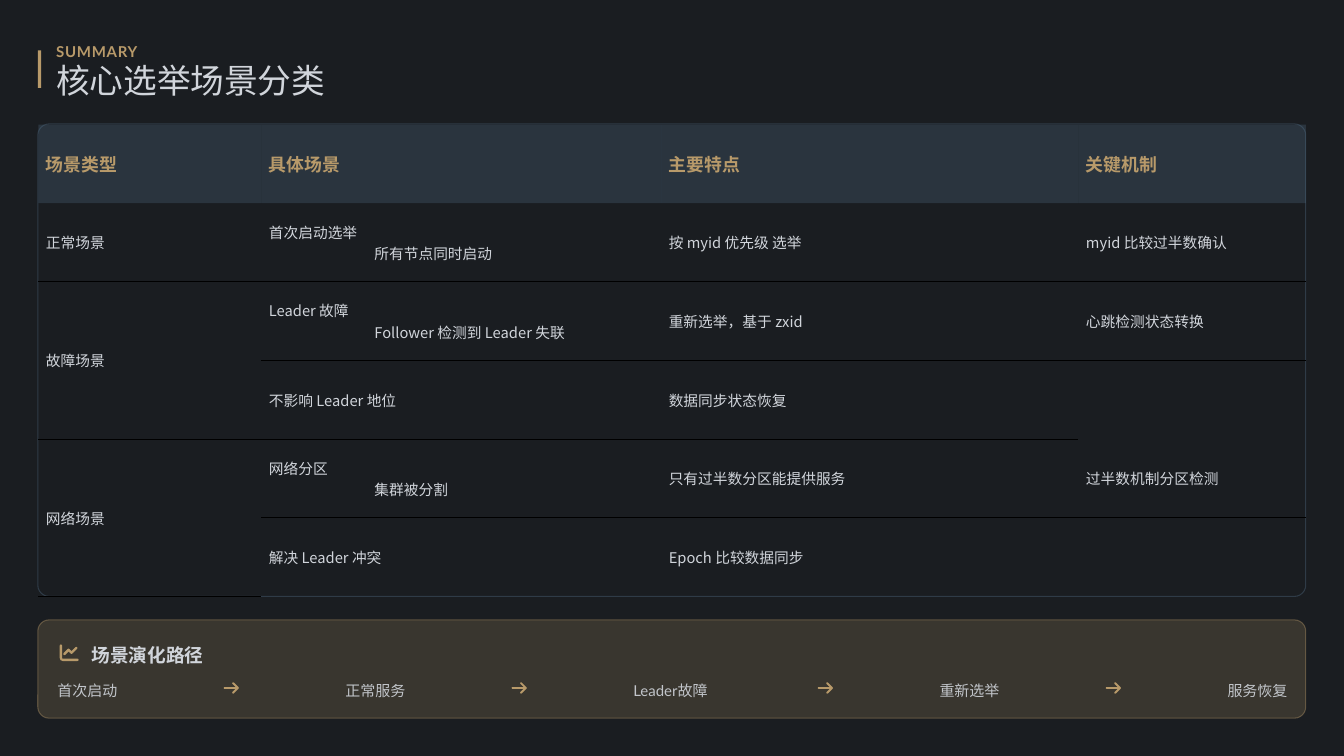
from dataclasses import dataclass

import lxml.etree
import pptx
import pptx.dml.color
import pptx.enum.shapes
import pptx.enum.text
import pptx.oxml.ns
import pptx.util

Pt = pptx.util.Pt
qn = pptx.oxml.ns.qn
RGBColor = pptx.dml.color.RGBColor
MSO_SHAPE = pptx.enum.shapes.MSO_SHAPE


@dataclass(frozen=True)
class Theme:
    ground: RGBColor = RGBColor.from_string("1A1D21")
    gold: RGBColor = RGBColor.from_string("B89A6A")
    slate: RGBColor = RGBColor.from_string("4F6A82")
    ink: RGBColor = RGBColor.from_string("D1D5DB")
    rule: str = "000000"
    latin: str = "Lato"
    chinese: str = "Noto Sans CJK SC"
    title: float = 32.1
    heading: float = 17.8
    header: float = 17
    label: float = 14.3
    cell: float = 14


theme = Theme()


def fade(element, percent):
    color = next(element.iter(qn("a:srgbClr")))
    lxml.etree.SubElement(color, qn("a:alpha")).set("val", str(percent * 1000))


def write(frame, text, size, color=theme.ink, font=theme.latin, bold=False,
          spacing=None, tracking=None, opacity=100, indent=0):
    frame.word_wrap = True
    frame.vertical_anchor = pptx.enum.text.MSO_ANCHOR.MIDDLE
    for index, line in enumerate(text.split("\n")):
        para = frame.add_paragraph() if index else frame.paragraphs[0]
        if index and indent:
            para._p.get_or_add_pPr().set("marL", str(Pt(indent)))
        if spacing:
            para.line_spacing = spacing
        span = para.add_run()
        span.text = line
        span.font.size = Pt(size)
        span.font.bold = bold
        span.font.name = font
        span.font.color.rgb = color
        properties = span._r.get_or_add_rPr()
        lxml.etree.SubElement(properties, qn("a:ea")).set("typeface", theme.chinese)
        if tracking:
            properties.set("spc", str(int(tracking * 100)))
        if opacity < 100:
            fade(properties, opacity)


deck = pptx.Presentation()
deck.slide_width, deck.slide_height = Pt(1280.16), Pt(720)
page = deck.slides.add_slide(deck.slide_layouts[6])
page.background.fill.solid()
page.background.fill.fore_color.rgb = theme.ground
shapes = page.shapes

accent = shapes.add_shape(MSO_SHAPE.RECTANGLE, Pt(36), Pt(48), Pt(3.2), Pt(35.7))
accent.shadow.inherit = False
accent.fill.solid()
accent.fill.fore_color.rgb = theme.gold
accent.line.fill.background()

corner = 10.8
left, panel_width = 36, 1207.7
for top, height, color, filled in ((118, 450, theme.slate, False),
                                   (590.4, 93.6, theme.gold, True)):
    panel = shapes.add_shape(MSO_SHAPE.ROUNDED_RECTANGLE,
                             Pt(left), Pt(top), Pt(panel_width), Pt(height))
    panel.shadow.inherit = False
    panel.adjustments[0] = corner / height
    if filled:
        panel.fill.solid()
        panel.fill.fore_color.rgb = color
        fade(panel._element.spPr, 20)
    else:
        panel.fill.background()
    panel.line.color.rgb = color
    panel.line.width = Pt(1)
    fade(panel.line._get_or_add_ln(), 40)

scenarios = (
    ("场景类型", "具体场景", "主要特点", "关键机制"),
    ("正常场景", "首次启动选举\n所有节点同时启动", "按 myid 优先级 选举", "myid 比较过半数确认"),
    ("故障场景", "Leader 故障\nFollower 检测到 Leader 失联", "重新选举，基于 zxid", "心跳检测状态转换"),
    ("", "不影响 Leader 地位", "数据同步状态恢复", ""),
    ("网络场景", "网络分区\n集群被分割", "只有过半数分区能提供服务", "过半数机制分区检测"),
    ("", "解决 Leader 冲突", "Epoch 比较数据同步", ""),
)
column_widths = (212.4, 380.9, 397.4, 216.7)
row_height = 74.9
ruled_columns = ((), (0, 1, 2, 3), (0, 1, 2, 3), (0, 1, 2), (0, 1, 2, 3), (0,))
table = shapes.add_table(len(scenarios), len(column_widths), Pt(36.5), Pt(118.6),
                         Pt(sum(column_widths)), Pt(row_height * len(scenarios))).table
table.first_row = False
table.horz_banding = False
for column, width in zip(table.columns, column_widths):
    column.width = Pt(width)
for row_index, (row, texts) in enumerate(zip(table.rows, scenarios)):
    row.height = Pt(row_height)
    for column_index, text in enumerate(texts):
        cell = table.cell(row_index, column_index)
        properties = cell._tc.get_or_add_tcPr()
        ruled = {
            "a:lnL": False,
            "a:lnR": False,
            "a:lnT": row_index > 0 and column_index in ruled_columns[row_index - 1],
            "a:lnB": column_index in ruled_columns[row_index],
        }
        for edge, drawn in ruled.items():
            line = lxml.etree.SubElement(properties, qn(edge))
            line.set("w", str(Pt(1)))
            if drawn:
                paint = lxml.etree.SubElement(line, qn("a:solidFill"))
                lxml.etree.SubElement(paint, qn("a:srgbClr")).set("val", theme.rule)
            else:
                lxml.etree.SubElement(line, qn("a:noFill"))
        cell.vertical_anchor = pptx.enum.text.MSO_ANCHOR.MIDDLE
        if row_index == 0:
            cell.fill.solid()
            cell.fill.fore_color.rgb = theme.slate
            fade(properties, 30)
            write(cell.text_frame, text, theme.header, theme.gold, theme.chinese, bold=True)
        else:
            cell.fill.background()
            if text:
                write(cell.text_frame, text, theme.cell, font=theme.chinese, indent=100.5)
for first_row in (2, 4):
    table.cell(first_row, 0).merge(table.cell(first_row + 1, 0))

label_style = dict(size=theme.label, spacing=1.3)
labels = [
    ("SUMMARY", 53.5, 36, 263.5, 21.6,
     dict(label_style, color=theme.gold, bold=True, tracking=0.7)),
    ("核心选举场景分类", 53.5, 60.5, 272.9, 36,
     dict(size=theme.title, font=theme.chinese, spacing=0.9)),
    ("场景演化路径", 87.1, 609.1, 115.9, 25.2,
     dict(size=theme.heading, bold=True, spacing=1.2)),
]

trend_axis = ((64, 64), (55, 41), (32, 32), (9, 41), (0, 64), (0, 400), (23, 457), (80, 480),
              (480, 480), (503, 471), (512, 448), (503, 425), (480, 416), (80, 416),
              (69, 411), (64, 400))
trend_line = ((471, 151), (480, 128), (471, 105), (448, 96), (425, 105), (320, 211),
              (263, 153), (240, 144), (217, 153), (105, 265), (96, 288), (105, 311),
              (128, 320), (151, 311), (240, 221), (297, 279), (320, 288), (343, 279))
arrow = ((503, 279), (512, 256), (503, 233), (343, 73), (320, 64), (297, 73), (288, 96),
         (297, 119), (403, 224), (32, 224), (9, 233), (0, 256), (9, 279), (32, 288),
         (403, 288), (297, 393), (288, 416), (297, 439), (320, 448), (343, 439))
icons = [((trend_axis, trend_line), 56.9, 612.7, 18)]

stages = ("首次启动", "正常服务", "Leader故障", "重新选举", "服务恢复")
stage_left = 54.7
for number, stage in enumerate(stages):
    width = 81.4 if stage.startswith("Leader") else 64.1
    labels.append((stage, stage_left, 644.4, width, 21.6, dict(label_style, opacity=90)))
    arrow_left = stage_left + width + 94.3
    if number < len(stages) - 1:
        icons.append(((arrow,), arrow_left, 648, 14.4))
    stage_left = arrow_left + 115.9

for outlines, icon_left, top, side in icons:
    builder = shapes.build_freeform(*outlines[0][0], scale=Pt(side) / 512)
    builder.add_line_segments(outlines[0][1:])
    for outline in outlines[1:]:
        builder.move_to(*outline[0])
        builder.add_line_segments(outline[1:])
    icon = builder.convert_to_shape(Pt(icon_left), Pt(top))
    icon.shadow.inherit = False
    icon.fill.solid()
    icon.fill.fore_color.rgb = theme.gold
    icon.line.fill.background()

for text, box_left, top, width, height, style in labels:
    frame = shapes.add_textbox(Pt(box_left), Pt(top), Pt(width), Pt(height)).text_frame
    frame.margin_left = frame.margin_right = frame.margin_top = frame.margin_bottom = 0
    write(frame, text, **style)

deck.save("out.pptx")
